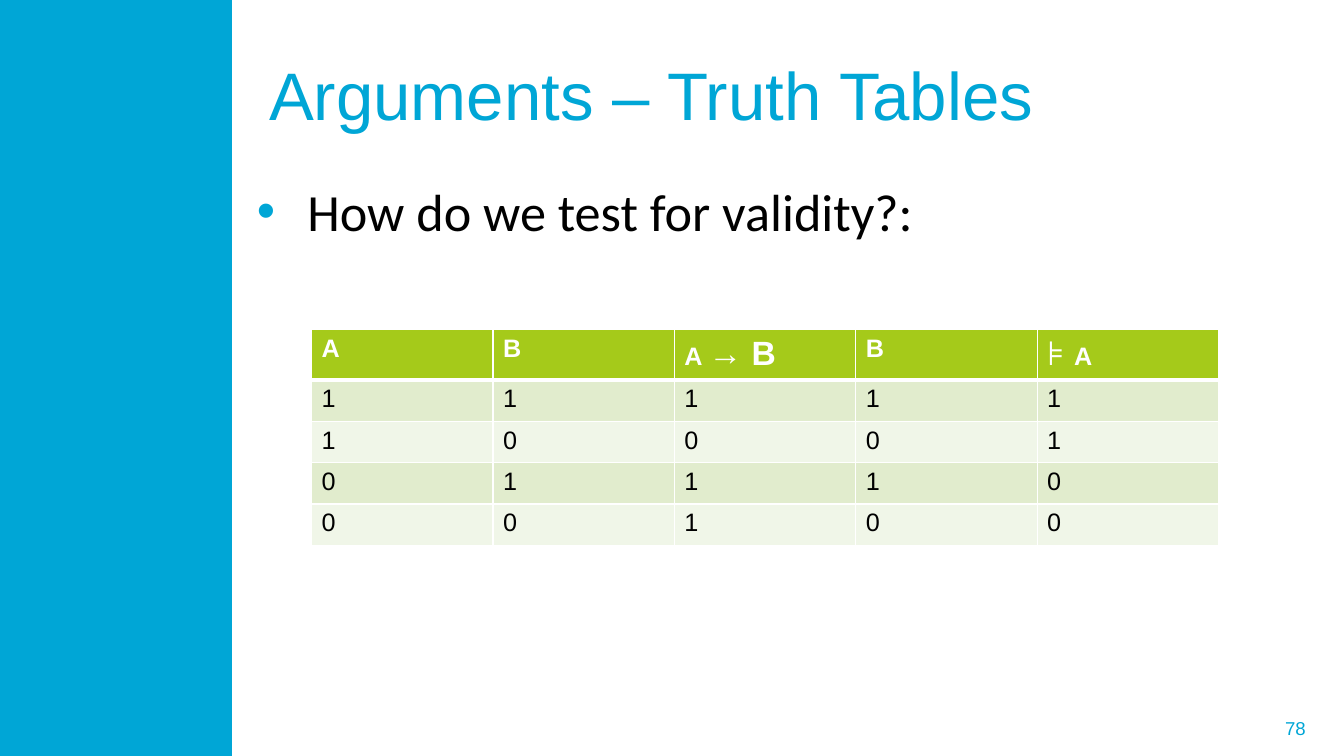
from lxml import etree
from pptx import Presentation
from pptx import util as u
from pptx.dml.color import RGBColor
from pptx.enum import shapes, text
from pptx.oxml import ns

COLORS = {
    "accent": "00A6D6",
    "header": "A5CA1A",
    "band": "E1ECCD",
    "light": "F0F6E8",
    "white": "FFFFFF",
    "black": "000000",
}


class TruthSlide:
    """Draws styled elements on one slide, placed by percent of its size."""

    def __init__(self, deck):
        self.deck = deck
        self.slide = deck.slides.add_slide(deck.slide_layouts[6])

    def place(self, left, top, width, height):
        across, down = self.deck.slide_width, self.deck.slide_height
        return [round(share * size / 100) for share, size in
                zip((left, top, width, height), (across, down, across, down))]

    def color(self, name):
        return RGBColor.from_string(COLORS[name])

    def style(self, run, size, color, font="Arial", bold=False):
        run.font.size = u.Pt(size)
        run.font.name = font
        run.font.bold = bold
        run.font.color.rgb = self.color(color)

    def panel(self, area, color):
        panel = self.slide.shapes.add_shape(
            shapes.MSO_SHAPE.RECTANGLE, *self.place(*area))
        panel.shadow.inherit = False
        panel.fill.solid()
        panel.fill.fore_color.rgb = self.color(color)
        panel.line.fill.background()

    def label(self, area, words, size, color, font="Arial", middle=True,
              align=text.PP_ALIGN.LEFT, bullet=None):
        frame = self.slide.shapes.add_textbox(*self.place(*area)).text_frame
        frame.word_wrap = True
        frame.vertical_anchor = (
            text.MSO_ANCHOR.MIDDLE if middle else text.MSO_ANCHOR.TOP)
        frame.text = words
        line = frame.paragraphs[0]
        line.alignment = align
        if bullet:
            self.bullet(line, bullet)
        self.style(line.runs[0], size, color, font)
        return frame

    def bullet(self, line, color):
        props = line._p.get_or_add_pPr()
        props.set("marL", str(u.Inches(0.5)))
        props.set("indent", str(-u.Inches(0.5)))
        tint = etree.SubElement(props, ns.qn("a:buClr"))
        etree.SubElement(tint, ns.qn("a:srgbClr"), val=COLORS[color])
        etree.SubElement(props, ns.qn("a:buFont"), typeface="Arial")
        etree.SubElement(props, ns.qn("a:buChar"), char="•")

    def borders(self, cell, top, bottom):
        props = cell._tc.get_or_add_tcPr()
        for side, width in (("L", 1), ("R", 1), ("T", top), ("B", bottom)):
            edge = etree.SubElement(props, ns.qn(f"a:ln{side}"), w=str(u.Pt(width)))
            fill = etree.SubElement(edge, ns.qn("a:solidFill"))
            etree.SubElement(fill, ns.qn("a:srgbClr"), val=COLORS["white"])

    def table(self, area, headings, values):
        grid = self.slide.shapes.add_table(
            len(values) + 1, len(headings), *self.place(*area)).table
        for column, pieces in enumerate(headings):
            cell = grid.cell(0, column)
            self.borders(cell, 1, 3)
            self.fill(cell, "header")
            for words, size, bold in pieces:
                run = cell.text_frame.paragraphs[0].add_run()
                run.text = words
                self.style(run, size, "white", bold=bold)
        for row, digits in enumerate(values, 1):
            for column, digit in enumerate(digits):
                cell = grid.cell(row, column)
                self.borders(cell, 3 if row == 1 else 1, 1)
                self.fill(cell, "band" if row % 2 else "light")
                cell.text_frame.text = digit
                self.style(cell.text_frame.paragraphs[0].runs[0], 18, "black")

    def fill(self, cell, color):
        cell.fill.solid()
        cell.fill.fore_color.rgb = self.color(color)


def main():
    deck = Presentation()
    deck.slide_width, deck.slide_height = u.Inches(13.33), u.Inches(7.5)
    page = TruthSlide(deck)

    page.panel((0, 0, 17.25, 100), "accent")
    number = page.label((72.77, 93.6, 25.36, 5.33), "78", 13.3, "accent",
                        align=text.PP_ALIGN.RIGHT)
    number.margin_left = number.margin_right = u.Inches(0.13)
    number.margin_top = number.margin_bottom = u.Inches(0.07)
    page.label((19.28, 4, 77.72, 16.67), "Arguments – Truth Tables", 48, "accent")
    page.label((18.38, 23.07, 75.84, 72.93), "How do we test for validity?:",
               37.3, "black", font="Calibri", middle=False, bullet="accent")

    headings = [
        [("A", 18, True)],
        [("B", 18, True)],
        [("A ", 18, True), ("→ B", 24, True)],
        [("B", 18, True)],
        [("⊧ ", 24, False), ("A", 18, True)],
    ]
    page.table((23.18, 43.6, 67.5, 27.33), headings,
               ["11111", "10001", "01110", "00100"])
    deck.save("out.pptx")


if __name__ == "__main__":
    main()
